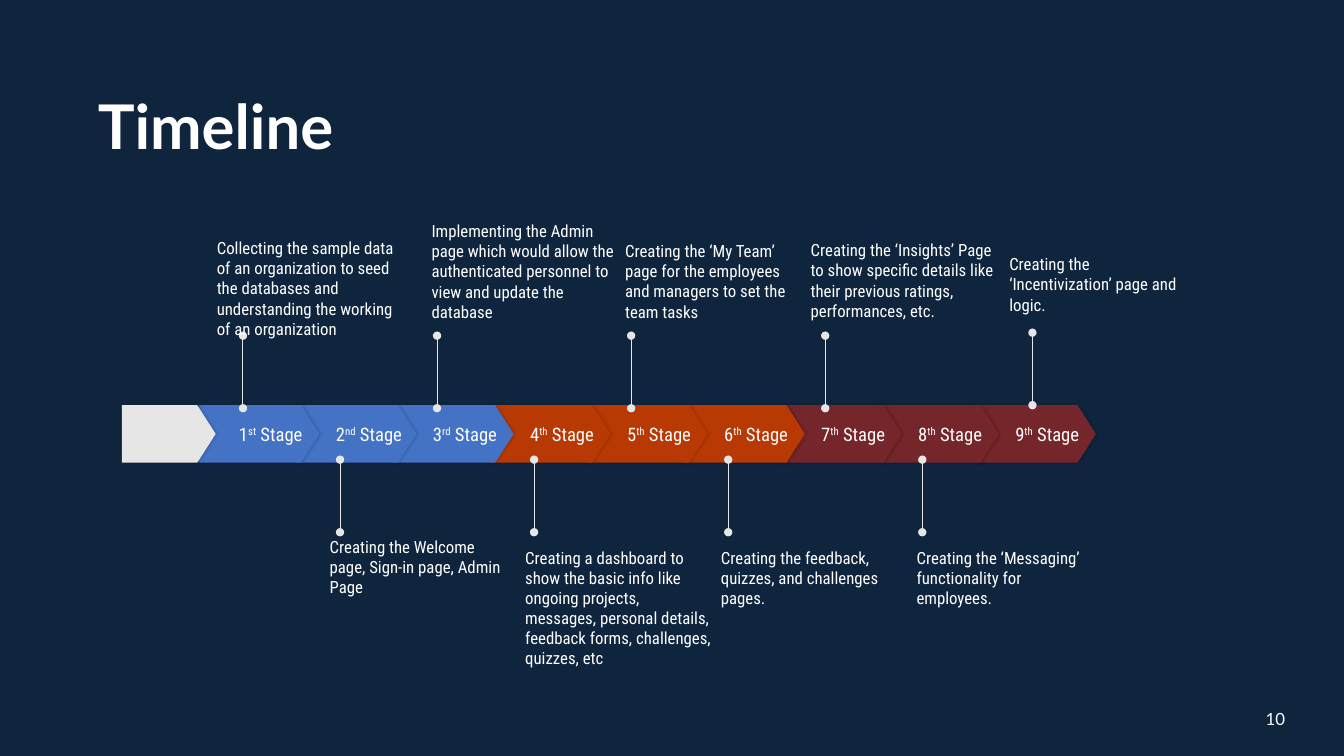
from dataclasses import dataclass

from lxml.etree import SubElement
from pptx import Presentation
from pptx.dml.color import RGBColor
from pptx.enum.shapes import MSO_CONNECTOR, MSO_SHAPE
from pptx.enum.text import MSO_ANCHOR, MSO_AUTO_SIZE, PP_ALIGN
from pptx.oxml.ns import qn
from pptx.util import Emu, Pt

EMU_PER_PX = 9144
NAVY = RGBColor(0x0F, 0x25, 0x3E)
WHITE = RGBColor(0xFF, 0xFF, 0xFF)
LIGHT_GRAY = RGBColor(0xE7, 0xE6, 0xE6)
BLUE = RGBColor(0x44, 0x72, 0xC4)
ORANGE = RGBColor(0xB8, 0x39, 0x03)
MAROON = RGBColor(0x75, 0x26, 0x2A)
PHASE_COLORS = (BLUE, ORANGE, MAROON)
STAGES_PER_PHASE = 3

HEADING_FONT = "Lato"
BODY_FONT = "Roboto Condensed"
STAGE_PITCH = 96.25
START_TO_FIRST_STAGE = 76
STAGE_WIDTH = 120
PIN_LENGTH = 72
PIN_OVERLAP = 3
PIN_OFFSET = 44


@dataclass
class Stage:
    suffix: str
    text: str
    box: tuple
    pin_shift: tuple = (0, 0)


STAGES = (
    Stage("st", "Collecting the sample data of an organization to seed the databases "
          "and understanding the working of an organization", (215, 203, 182, 133)),
    Stage("nd", "Creating the Welcome page, Sign-in page, Admin Page", (327, 532, 182, 86)),
    Stage("rd", "Implementing the Admin page which would allow the authenticated "
          "personnel to view and update the database", (428, 217, 182, 102)),
    Stage("th", "Creating a dashboard to show the basic info like ongoing projects, "
          "messages, personal details, feedback forms, challenges, quizzes, etc",
          (521, 543, 187, 112)),
    Stage("th", "Creating the ‘My Team’ page for the employees and managers to set "
          "the team tasks", (620, 175, 182, 144)),
    Stage("th", "Creating the feedback, quizzes, and challenges pages.",
          (715, 543, 182, 78)),
    Stage("th", "Creating the ‘Insights’ Page to show specific details like their "
          "previous ratings, performances, etc.", (804, 240, 182, 78)),
    Stage("th", "Creating the ‘Messaging’ functionality for employees.",
          (909, 543, 182, 78)),
    Stage("th", "Creating the ‘Incentivization’ page and logic.",
          (1001, 105, 182, 207), (13, -3)),
)


def px(length):
    return Emu(round(length * EMU_PER_PX))


def write_text(shape, *parts, font=BODY_FONT, size=12, bold=False, align=PP_ALIGN.LEFT,
               anchor=MSO_ANCHOR.TOP, left_inset=0, line_spacing=None, raised=None):
    frame = shape.text_frame
    frame.word_wrap = True
    frame.auto_size = MSO_AUTO_SIZE.NONE
    frame.vertical_anchor = anchor
    frame.margin_left = px(left_inset)
    frame.margin_top = frame.margin_right = frame.margin_bottom = 0
    paragraph = frame.paragraphs[0]
    paragraph.alignment = align
    paragraph.line_spacing = line_spacing
    for index, part in enumerate(parts):
        run = paragraph.add_run()
        run.text = part
        run.font.name = font
        run.font.size = Pt(size)
        run.font.bold = bold
        run.font.color.rgb = WHITE
        if index == raised:
            run._r.get_or_add_rPr().set("baseline", "30000")


def add_soft_shadow(shape):
    shape.shadow.inherit = False
    effects = shape._element.spPr.find(qn("a:effectLst"))
    shadow = SubElement(effects, qn("a:outerShdw"), blurRad=str(Pt(2.2)),
                        dist=str(Pt(0.8)), dir="0", algn="ctr", rotWithShape="0")
    color = SubElement(shadow, qn("a:srgbClr"), val="000000")
    SubElement(color, qn("a:alpha"), val="20000")


def add_title(slide, left, top, width, height):
    title = slide.shapes.title
    title.left, title.top, title.width, title.height = map(px, (left, top, width, height))
    write_text(title, "Timeline", font=HEADING_FONT, size=44, bold=True,
               anchor=MSO_ANCHOR.BOTTOM, line_spacing=0.9)


def add_page_number(slide, left, top, width, height):
    box = slide.shapes.add_textbox(*map(px, (left, top, width, height)))
    write_text(box, "10", font=HEADING_FONT, align=PP_ALIGN.CENTER,
               anchor=MSO_ANCHOR.BOTTOM)


def add_arrow_block(slide, left, top, width, height, color):
    block = slide.shapes.add_shape(MSO_SHAPE.PENTAGON,
                                   *map(px, (left, top, width, height)))
    block.adjustments[0] = 0.32
    block.fill.solid()
    block.fill.fore_color.rgb = color
    block.line.fill.background()
    add_soft_shadow(block)
    return block


def add_pin(slide, x, start, end):
    pin = slide.shapes.add_connector(MSO_CONNECTOR.STRAIGHT,
                                     px(x), px(start), px(x), px(end))
    pin.line.color.rgb = LIGHT_GRAY
    pin.line.width = Pt(0.75)
    line = pin.line._get_or_add_ln()
    for end_name in ("a:headEnd", "a:tailEnd"):
        SubElement(line, qn(end_name), type="oval")
    SubElement(pin._element.spPr, qn("a:effectLst"))


def add_callout(slide, stage, above, stage_left, top, height):
    shift_x, shift_y = stage.pin_shift
    pin_start = (top + PIN_OVERLAP if above else top + height - PIN_OVERLAP) + shift_y
    pin_end = pin_start - PIN_LENGTH if above else pin_start + PIN_LENGTH
    add_pin(slide, stage_left + PIN_OFFSET + shift_x, pin_start, pin_end)
    box = slide.shapes.add_textbox(*map(px, stage.box))
    write_text(box, stage.text,
               anchor=MSO_ANCHOR.BOTTOM if above else MSO_ANCHOR.TOP)


def add_timeline(slide, left, top, start_width, height):
    first_left = left + START_TO_FIRST_STAGE
    stage_lefts = [first_left + index * STAGE_PITCH for index in range(len(STAGES))]
    for index in reversed(range(len(STAGES))):
        block = add_arrow_block(slide, stage_lefts[index], top, STAGE_WIDTH, height,
                                PHASE_COLORS[index // STAGES_PER_PHASE])
        write_text(block, str(index + 1), STAGES[index].suffix, " Stage", size=13.3,
                   anchor=MSO_ANCHOR.MIDDLE, left_inset=40, raised=1)
    add_arrow_block(slide, left, top, start_width, height, LIGHT_GRAY)
    for index, stage in enumerate(STAGES):
        add_callout(slide, stage, index % 2 == 0, stage_lefts[index], top, height)


def main():
    presentation = Presentation()
    presentation.slide_width = px(1333)
    presentation.slide_height = px(750)
    slide = presentation.slides.add_slide(presentation.slide_layouts[5])
    slide.background.fill.solid()
    slide.background.fill.fore_color.rgb = NAVY
    add_title(slide, 97, 104, 1107, 58)
    add_page_number(slide, 1225, 677, 80, 46)
    add_timeline(slide, 121, 402, 93, 57)
    presentation.save("out.pptx")


if __name__ == "__main__":
    main()
